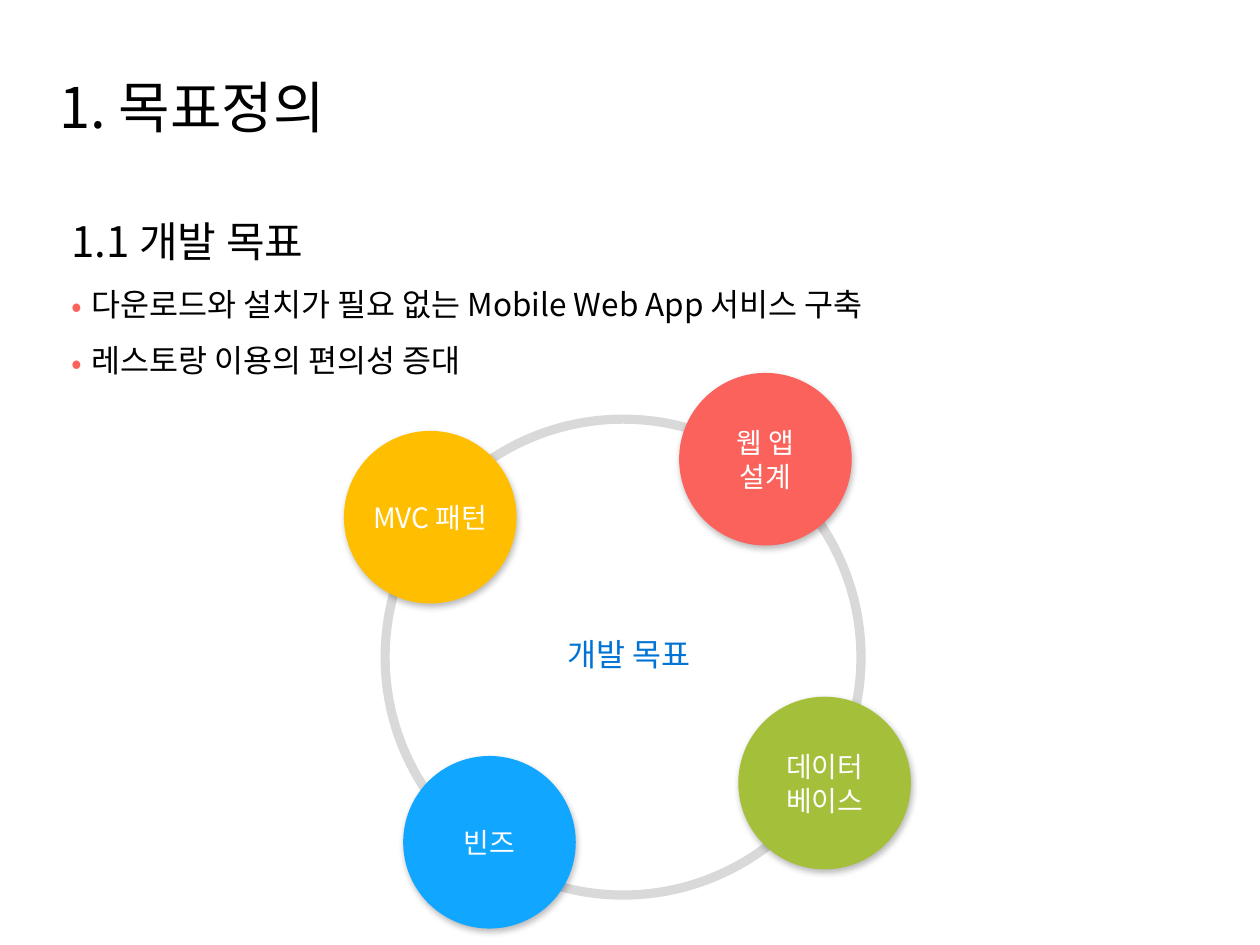
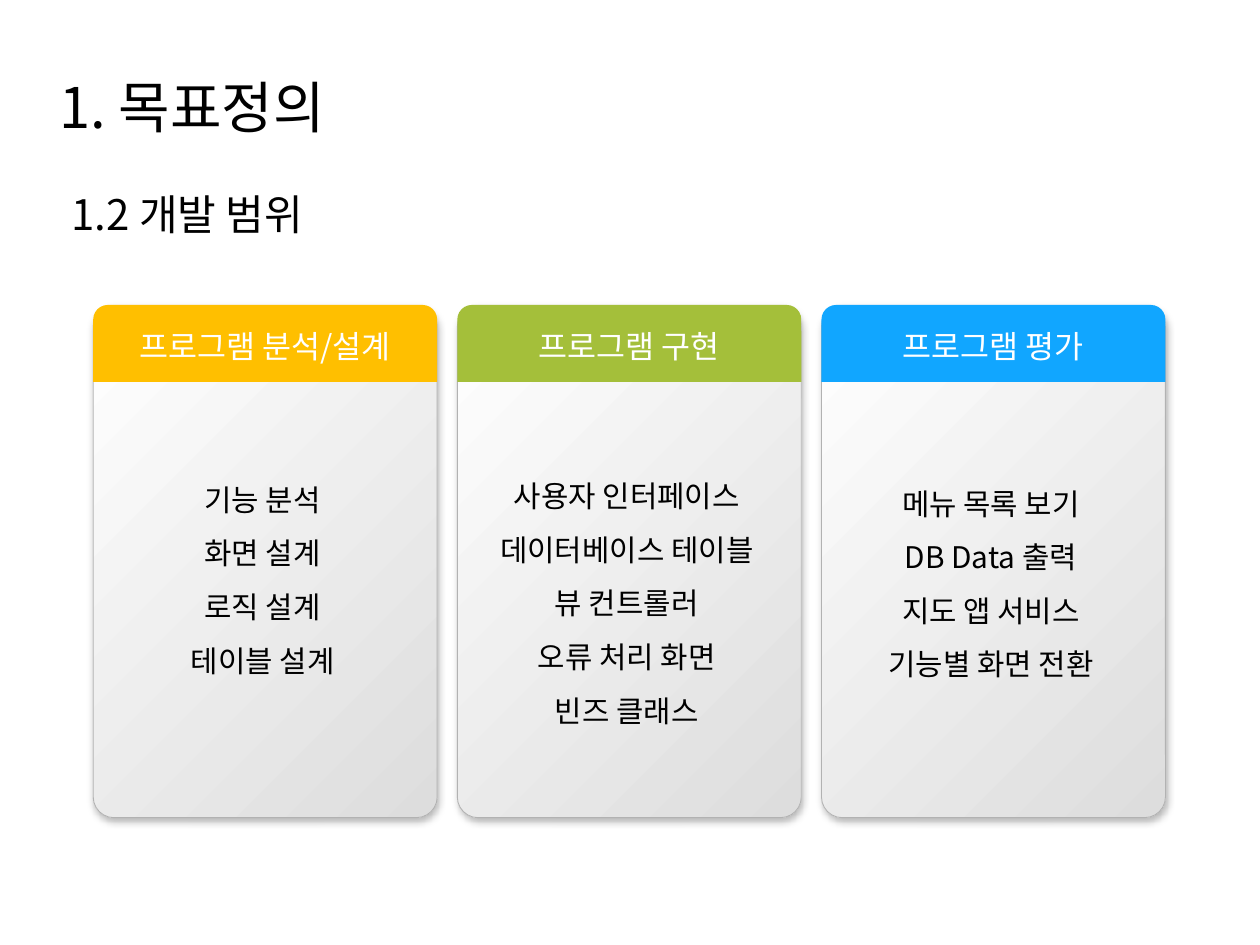
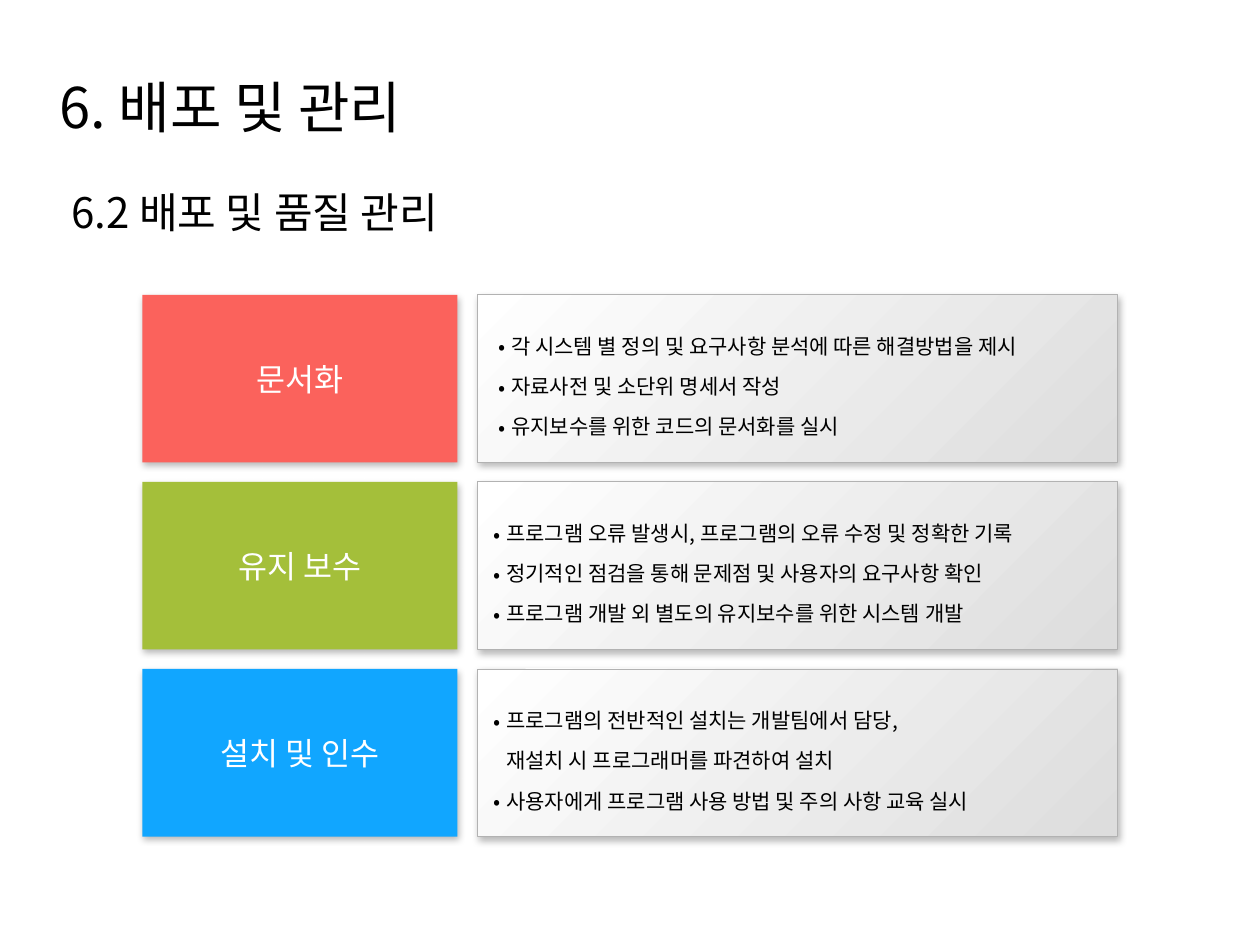
import pptx
import pptx.util
import pptx.dml.color
import pptx.enum.shapes
import pptx.enum.text
import pptx.oxml.ns
from lxml import etree

Inches = pptx.util.Inches
Pt = pptx.util.Pt
SHAPE = pptx.enum.shapes.MSO_SHAPE
ALIGN = pptx.enum.text.PP_ALIGN
ANCHOR = pptx.enum.text.MSO_ANCHOR
qn = pptx.oxml.ns.qn

FONT = "Noto Sans CJK KR"
BLACK, WHITE, GRAY = "000000", "FFFFFF", "D9D9D9"
RED, GREEN, BLUE, YELLOW = "FB625C", "A4BF3A", "11A6FF", "FFBF00"
CENTER_BLUE = "0173D4"
PANEL_END, PANEL_LINE = "DDDDDD", "B2B2B2"

TITLE = {"size": 32}
SUBTITLE = {"size": 24}
CIRCLE_LABEL = {"size": 16, "color": WHITE, "alignment": ALIGN.CENTER}
HEADING = {"size": 18, "color": WHITE, "alignment": ALIGN.CENTER}
GOAL = {"size": 18, "line_spacing": 1.5, "indent": 0.16, "bullet": RED}
SCOPE_ITEM = {"size": 17, "line_spacing": 1.5, "alignment": ALIGN.CENTER}
DETAIL = {"size": 12, "line_spacing": 1.6, "indent": 0.1, "margin": 0.31, "bullet": BLACK}
CONTINUATION = {"size": 12, "line_spacing": 1.6, "margin": 0.31}


def rgb(value):
    return pptx.dml.color.RGBColor.from_string(value)


def apply(target, values):
    for name, value in values.items():
        setattr(target, name, value)


def add_bullet(paragraph, color, indent, margin):
    properties = paragraph._p.get_or_add_pPr()
    properties.set("marL", str(Inches(margin)))
    properties.set("indent", str(-Inches(indent)))
    if color:
        bullet_color = etree.SubElement(properties, qn("a:buClr"))
        etree.SubElement(bullet_color, qn("a:srgbClr"), val=color)
        etree.SubElement(properties, qn("a:buFont"), typeface=FONT)
        etree.SubElement(properties, qn("a:buChar"), char="•")


def write(shape, lines, inset=(0.1, 0.05), wrap=True):
    frame = shape.text_frame
    side, edge = (Inches(length) for length in inset)
    apply(frame, {
        "word_wrap": wrap,
        "auto_size": pptx.enum.text.MSO_AUTO_SIZE.NONE,
        "vertical_anchor": ANCHOR.MIDDLE,
        "margin_left": side,
        "margin_right": side,
        "margin_top": edge,
        "margin_bottom": edge,
    })
    for number, (text, style) in enumerate(lines):
        paragraph = frame.add_paragraph() if number else frame.paragraphs[0]
        if "bullet" in style or "margin" in style:
            indent = style.get("indent", 0)
            add_bullet(paragraph, style.get("bullet"), indent, style.get("margin", indent))
        apply(paragraph, {
            "alignment": style.get("alignment", ALIGN.LEFT),
            "line_spacing": style.get("line_spacing", 1.0),
        })
        run = paragraph.add_run()
        run.text = text
        apply(run.font, {"name": FONT, "size": Pt(style["size"])})
        run.font.color.rgb = rgb(style.get("color", BLACK))
        etree.SubElement(run._r.get_or_add_rPr(), qn("a:ea"), typeface=FONT)


def styled(lines, style):
    return [(line, style) for line in lines]


def add_text(slide, box, lines):
    textbox = slide.shapes.add_textbox(*map(Inches, box))
    write(textbox, lines)


def add_filled(slide, kind, box, color, adjustments=()):
    shape = slide.shapes.add_shape(kind, *map(Inches, box))
    for number, value in enumerate(adjustments):
        shape.adjustments[number] = value
    shape.fill.solid()
    shape.fill.fore_color.rgb = rgb(color)
    shape.line.fill.background()
    shape.shadow.inherit = False
    return shape


def add_shadow(shape, opacity=28):
    effects = shape._element.spPr.find(qn("a:effectLst"))
    shadow = etree.SubElement(
        effects, qn("a:outerShdw"), blurRad=str(Pt(4)), dist=str(Pt(2)),
        dir=str(70 * 60000), algn="ctr", rotWithShape="0")
    color = etree.SubElement(shadow, qn("a:srgbClr"), val=BLACK)
    etree.SubElement(color, qn("a:alpha"), val=str(opacity * 1000))


def add_labelled(slide, kind, box, color, lines, style, adjustments=(), shadow=True):
    shape = add_filled(slide, kind, box, color, adjustments)
    if shadow:
        add_shadow(shape)
    write(shape, styled(lines, style), inset=(0.08, 0.08), wrap=False)


def add_panel(slide, kind, box, adjustments=()):
    panel = add_filled(slide, kind, box, WHITE, adjustments)
    panel.fill.gradient()
    panel.fill.gradient_angle = 315
    for stop, color, position in zip(panel.fill.gradient_stops, (WHITE, PANEL_END), (0, 1)):
        stop.color.rgb = rgb(color)
        stop.position = position
    panel.line.color.rgb = rgb(PANEL_LINE)
    panel.line.width = Pt(0.5)
    add_shadow(panel)


def add_titled_slide(deck, title):
    slide = deck.slides.add_slide(deck.slide_layouts[5])
    heading = slide.shapes.title
    apply(heading, {
        "left": Inches(0.47), "top": Inches(0.51),
        "width": Inches(7.73), "height": Inches(0.66),
    })
    write(heading, [(title, TITLE)], inset=(0, 0.05))
    return slide


def build_goals(deck):
    slide = add_titled_slide(deck, "1. 목표정의")
    add_text(slide, (0.47, 1.45, 7.19, 1.62), [
        ("1.1 개발 목표", {**SUBTITLE, "line_spacing": 1.5}),
        ("다운로드와 설치가 필요 없는 Mobile Web App 서비스 구축", GOAL),
        ("레스토랑 이용의 편의성 증대", GOAL),
    ])
    add_filled(slide, SHAPE.DONUT, (3.02, 3.29, 3.85, 3.85), GRAY, (0.019,))
    diameter = 1.37
    goals = [
        (5.39, 2.96, RED, ["웹 앱", "설계"]),
        (3.2, 6, BLUE, ["빈즈"]),
        (2.73, 3.42, YELLOW, ["MVC 패턴"]),
        (5.86, 5.53, GREEN, ["데이터", "베이스"]),
    ]
    for left, top, color, lines in goals:
        add_labelled(slide, SHAPE.OVAL, (left, top, diameter, diameter),
                     color, lines, CIRCLE_LABEL)
    add_text(slide, (3.98, 4.99, 2.03, 0.4),
             [("개발 목표", {**HEADING, "color": CENTER_BLUE})])


def build_scope(deck):
    slide = add_titled_slide(deck, "1. 목표정의")
    add_text(slide, (0.47, 1.45, 2.6, 0.5), [("1.2 개발 범위", SUBTITLE)])
    phases = [
        ("프로그램 분석/설계", YELLOW, 3.62, 1.82,
         ["기능 분석", "화면 설계", "로직 설계", "테이블 설계"]),
        ("프로그램 구현", GREEN, 3.59, 2.25,
         ["사용자 인터페이스", "데이터베이스 테이블", "뷰 컨트롤러",
          "오류 처리 화면", "빈즈 클래스"]),
        ("프로그램 평가", BLUE, 3.65, 1.82,
         ["메뉴 목록 보기", "DB Data 출력", "지도 앱 서비스", "기능별 화면 전환"]),
    ]
    for column, (phase, color, top, height, items) in enumerate(phases):
        left = 0.74 + 2.89 * column
        add_panel(slide, SHAPE.ROUNDED_RECTANGLE, (left, 2.43, 2.73, 4.06), (0.06,))
        add_labelled(slide, SHAPE.ROUND_2_SAME_RECTANGLE, (left, 2.42, 2.73, 0.61),
                     color, [phase], HEADING, (0.19, 0), shadow=False)
        add_text(slide, (left, top, 2.69, height), styled(items, SCOPE_ITEM))


def build_maintenance(deck):
    slide = add_titled_slide(deck, "6. 배포 및 관리")
    add_text(slide, (0.47, 1.43, 3.8, 0.5), [("6.2 배포 및 품질 관리", SUBTITLE)])
    tasks = [
        ("문서화", RED, 3.65, [
            ("각 시스템 별 정의 및 요구사항 분석에 따른 해결방법을 제시", DETAIL),
            ("자료사전 및 소단위 명세서 작성", DETAIL),
            ("유지보수를 위한 코드의 문서화를 실시", DETAIL),
        ]),
        ("유지 보수", GREEN, 3.61, [
            ("프로그램 오류 발생시, 프로그램의 오류 수정 및 정확한 기록", DETAIL),
            ("정기적인 점검을 통해 문제점 및 사용자의 요구사항 확인", DETAIL),
            ("프로그램 개발 외 별도의 유지보수를 위한 시스템 개발", DETAIL),
        ]),
        ("설치 및 인수", BLUE, 3.61, [
            ("프로그램의 전반적인 설치는 개발팀에서 담당,", DETAIL),
            ("재설치 시 프로그래머를 파견하여 설치", CONTINUATION),
            ("사용자에게 프로그램 사용 방법 및 주의 사항 교육 실시", DETAIL),
        ]),
    ]
    row_height, gap = 1.33, 0.155
    for row, (task, color, detail_left, details) in enumerate(tasks):
        top = 2.34 + (row_height + gap) * row
        add_labelled(slide, SHAPE.RECTANGLE, (1.13, top, 2.5, row_height),
                     color, [task], HEADING)
        add_panel(slide, SHAPE.RECTANGLE, (3.79, top, 5.08, row_height))
        add_text(slide, (detail_left, top + 0.13, 5.28, 1.07), details)


def main():
    deck = pptx.Presentation()
    deck.slide_width = Inches(10)
    deck.slide_height = Inches(7.5)
    build_goals(deck)
    build_scope(deck)
    build_maintenance(deck)
    deck.save("out.pptx")


if __name__ == "__main__":
    main()
